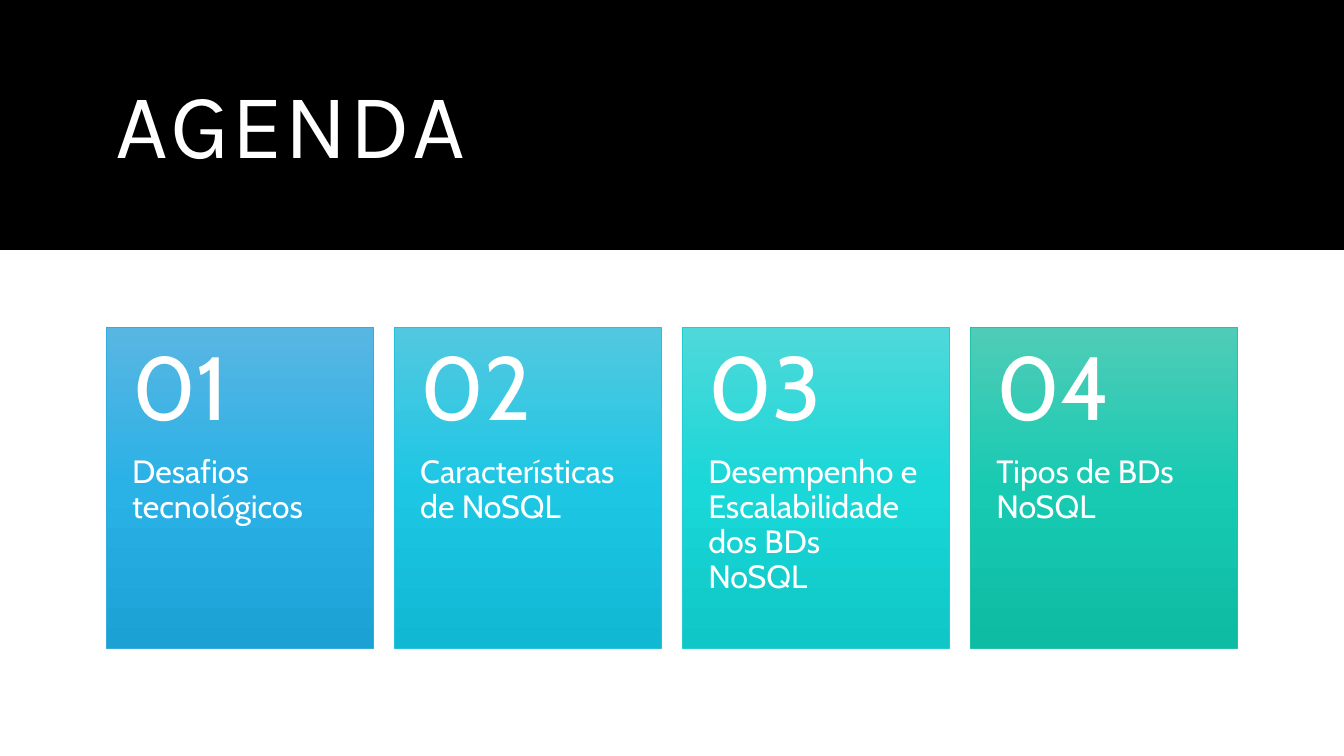
from copy import deepcopy
from dataclasses import dataclass

from pptx import Presentation
from pptx.dml.color import RGBColor
from pptx.enum.shapes import MSO_SHAPE as Shape
from pptx.enum.text import MSO_ANCHOR as Anchor
from pptx.util import Cm, Pt

TITLE = "AGENDA"
# topic, gradient from top to bottom, outline
TOPICS = [
    ("Desafios tecnológicos", ("58B6E2", "2AB1E6", "1CA1D5"), "33ADDD"),
    ("Características de NoSQL", ("52C8E0", "1DC7E4", "10B8D4"), "26C1DB"),
    ("Desempenho e Escalabilidade dos BDs NoSQL", ("4FD8D9", "1AD7D8", "0FC7C7"), "22CECF"),
    ("Tipos de BDs NoSQL", ("4FCCB7", "18CAB2", "0EBBA3"), "20C2AC"),
]


@dataclass(frozen=True)
class Theme:
    band: str = "000000"
    background: str = "FFFFFF"
    text: str = "FFFFFF"
    title_font: str = "Karla"
    body_font: str = "Cabin"
    title_size: int = 66
    number_size: int = 64
    topic_size: int = 23


THEME = Theme()
SLIDE_WIDTH, SLIDE_HEIGHT = Cm(33.87), Cm(19.05)
MARGIN = Cm(2.67)
BAND_HEIGHT = Cm(6.3)
CARD_TOP, CARD_WIDTH, CARD_HEIGHT = Cm(8.26), Cm(6.73), Cm(8.08)
CARD_GAP = Cm(0.53)
NUMBER_HEIGHT = Cm(3.23)
CARD_INSET = Cm(0.66)


def add_rectangle(slide, left, top, width, height):
    shape = slide.shapes.add_shape(Shape.RECTANGLE, left, top, width, height)
    shape.shadow.inherit = False
    return shape


def add_text(slide, text, box, insets, anchor, font_name, size):
    """Add one wrapped paragraph; insets are left, top, right, bottom."""
    frame = slide.shapes.add_textbox(*box).text_frame
    frame.word_wrap = True
    frame.vertical_anchor = anchor
    (frame.margin_left, frame.margin_top,
     frame.margin_right, frame.margin_bottom) = insets
    paragraph = frame.paragraphs[0]
    paragraph.text = text
    paragraph.line_spacing = 0.9
    paragraph.font.name = font_name
    paragraph.font.size = Pt(size)
    paragraph.font.color.rgb = RGBColor.from_string(THEME.text)
    return paragraph


def fill_downwards(shape, colors):
    """Fill with a top-to-bottom gradient of three evenly spaced colours."""
    shape.fill.gradient()
    shape.fill.gradient_angle = 270
    stop_list = shape._element.spPr.xpath(".//a:gsLst")[0]
    stop_list.append(deepcopy(stop_list[0]))
    for index, (stop, color) in enumerate(zip(shape.fill.gradient_stops, colors)):
        stop.position = index / (len(colors) - 1)
        stop.color.rgb = RGBColor.from_string(color)


def add_header(slide):
    band = add_rectangle(slide, 0, 0, SLIDE_WIDTH, BAND_HEIGHT)
    band.fill.solid()
    band.fill.fore_color.rgb = RGBColor.from_string(THEME.band)
    band.line.fill.background()
    box = (MARGIN, Cm(0.89), SLIDE_WIDTH - 2 * MARGIN, Cm(4.72))
    insets = (Cm(0.25), Cm(0.13), Cm(0.25), Cm(0.13))
    title = add_text(slide, TITLE, box, insets, Anchor.MIDDLE,
                     THEME.title_font, THEME.title_size)
    title.runs[0].font._element.set("spc", "120")


def add_card(slide, index, topic, colors, outline):
    left = MARGIN + index * (CARD_WIDTH + CARD_GAP)
    card = add_rectangle(slide, left, CARD_TOP, CARD_WIDTH, CARD_HEIGHT)
    fill_downwards(card, colors)
    card.line.color.rgb = RGBColor.from_string(outline)
    card.line.width = Pt(0.5)

    topic_box = (left, CARD_TOP + NUMBER_HEIGHT, CARD_WIDTH, CARD_HEIGHT - NUMBER_HEIGHT)
    add_text(slide, topic, topic_box, (CARD_INSET, 0, CARD_INSET, Cm(0.91)),
             Anchor.TOP, THEME.body_font, THEME.topic_size)
    number_box = (left, CARD_TOP, CARD_WIDTH, NUMBER_HEIGHT)
    add_text(slide, f"{index + 1:02}", number_box,
             (CARD_INSET, Cm(0.46), CARD_INSET, Cm(0.46)),
             Anchor.MIDDLE, THEME.body_font, THEME.number_size)


def main():
    presentation = Presentation()
    presentation.slide_width, presentation.slide_height = SLIDE_WIDTH, SLIDE_HEIGHT
    slide = presentation.slides.add_slide(presentation.slide_layouts[6])
    slide.background.fill.solid()
    slide.background.fill.fore_color.rgb = RGBColor.from_string(THEME.background)
    add_header(slide)
    for index, (topic, colors, outline) in enumerate(TOPICS):
        add_card(slide, index, topic, colors, outline)
    presentation.save("out.pptx")


if __name__ == "__main__":
    main()
